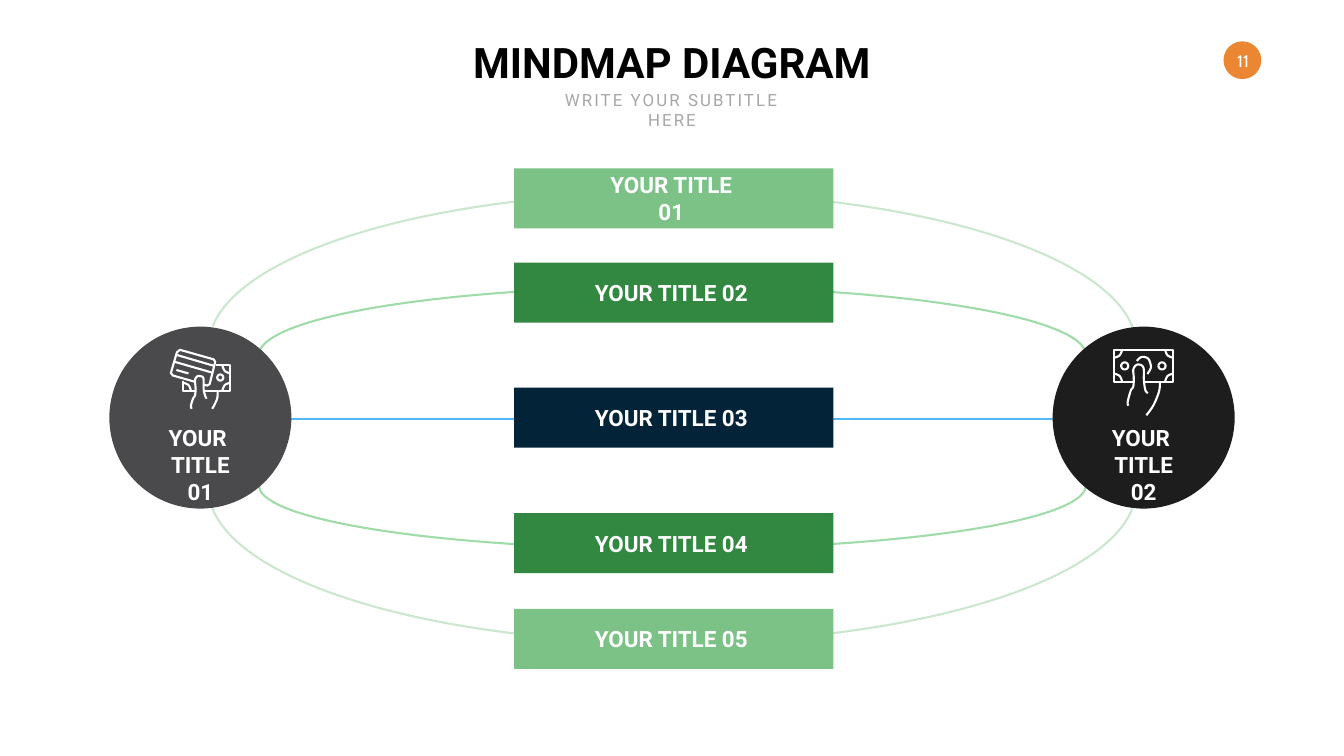
from math import cos, pi, sin

from lxml.etree import SubElement
from pptx import Presentation
from pptx.dml.color import RGBColor
from pptx.enum.shapes import MSO_CONNECTOR, MSO_SHAPE
from pptx.enum.text import MSO_ANCHOR, PP_ALIGN
from pptx.oxml.ns import qn
from pptx.util import Pt

WHITE = "FFFFFF"
UNIT = 0.72


def color(code):
    """Turn a hex string into a colour."""
    return RGBColor.from_string(code)


def place(box):
    """Turn a box in points into lengths."""
    return [Pt(value) for value in box]


def write(frame, lines, size, code, bold=True, font="Roboto", anchor=MSO_ANCHOR.TOP):
    """Fill a text frame with centred lines and return its runs."""
    frame.word_wrap = True
    frame.vertical_anchor = anchor
    runs = []
    for index, line in enumerate(lines):
        para = frame.add_paragraph() if index else frame.paragraphs[0]
        para.alignment = PP_ALIGN.CENTER
        run = para.add_run()
        run.text = line
        run.font.size, run.font.bold, run.font.name = Pt(size), bold, font
        run.font.color.rgb = color(code)
        runs.append(run)
    return runs


def solid(slide, kind, box, code):
    """Add a filled shape without outline."""
    shape = slide.shapes.add_shape(kind, *place(box))
    shape.shadow.inherit = False
    shape.fill.solid()
    shape.fill.fore_color.rgb = color(code)
    shape.line.fill.background()
    return shape


def curve(slide, box, start, end, code, turn=0):
    """Add an open arc between two angles in degrees."""
    arc = slide.shapes.add_shape(MSO_SHAPE.ARC, *place(box))
    arc.shadow.inherit = False
    arc.adjustments[0], arc.adjustments[1] = start * 0.6, end * 0.6
    arc.rotation = turn
    arc.fill.background()
    arc.line.color.rgb, arc.line.width = color(code), Pt(3)


def header(slide, box):
    """Place the title with its subtitle below."""
    left, top, width, height = box
    title = slide.shapes.title
    title.left, title.top, title.width, title.height = place((left, top, width, 80))
    write(title.text_frame, ["MINDMAP DIAGRAM"], 60, "000000")
    sub = slide.shapes.add_textbox(*place((left + 120, top + 76, width - 240, height - 76)))
    run, = write(sub.text_frame, ["WRITE YOUR SUBTITLE HERE"], 24, "A6A6A6", False)
    run.font._element.set("spc", "300")


def badge(slide, box):
    """Place the page number in its disc."""
    disc = solid(slide, MSO_SHAPE.OVAL, box, "EB8632")
    frame = disc.text_frame
    frame.margin_right = frame.margin_bottom = 0
    frame.margin_left, frame.margin_top = Pt(2), Pt(3)
    write(frame, ["11"], 24, WHITE, False, "Cabin", MSO_ANCHOR.MIDDLE)


def links(slide, box):
    """Draw the arcs and the line that join the two hubs."""
    left, top, width, height = box
    mid = left + width / 2
    outer, inner = 439.9, 1180.8
    for wide, start, end, code, spans in (
        (inner, 180, 0, "A0DCAA", ((409.7, 194.4), (603.4, 180.7))),
        (width, 182.5, 357.75, "CBE7CF", ((top, outer), (top + height - outer, outer))),
    ):
        for turn, (level, high) in zip((0, 180), spans):
            curve(slide, (mid - wide / 2, level, wide, high), start, end, code, turn)
    level = 599
    line = slide.shapes.add_connector(
        MSO_CONNECTOR.STRAIGHT, *place((mid - 550, level, mid + 550, level)))
    line.line.color.rgb, line.line.width = color("50B7F9"), Pt(3)
    SubElement(line._element.spPr, qn("a:effectLst"))


def bars(slide, box):
    """Stack the five titled bars."""
    left, top, width, height = box
    light, dark, navy = "7CC287", "328840", "022338"
    steps = (0, 134.6, 313.2, 492.5, 629.3)
    for index, (step, code) in enumerate(zip(steps, (light, dark, navy, dark, light)), 1):
        bar = solid(slide, MSO_SHAPE.RECTANGLE, (left, top + step, width, height), code)
        frame = bar.text_frame
        side = 120 if index == 1 else 95
        frame.margin_left, frame.margin_right = Pt(side), Pt(side + 7)
        frame.margin_top = frame.margin_bottom = 0
        write(frame, [f"YOUR TITLE {index:02}"], 32, WHITE, anchor=MSO_ANCHOR.MIDDLE)


def smooth(points, steps=6):
    """Round a path with a spline through its points."""
    ends = [points[0], *points, points[-1]]
    path = [points[0]]
    for a, b, c, d in zip(ends, ends[1:], ends[2:], ends[3:]):
        for step in range(1, steps + 1):
            t = step / steps
            path.append(tuple(
                (2 * q + (r - p) * t + (2 * p - 5 * q + 4 * r - s) * t ** 2
                 + (3 * q - p - 3 * r + s) * t ** 3) / 2
                for p, q, r, s in zip(a, b, c, d)))
    return path


def ring(x, y, size):
    """Return the points of a circle."""
    return [(x + size * cos(n * pi / 12), y + size * sin(n * pi / 12)) for n in range(25)]


def corner(x, y, right, down):
    """Return the rounded corner mark of a banknote."""
    return smooth([(x, y + 16 * down), (x + 11 * right, y + 11 * down), (x + 16 * right, y)])


def icon(slide, left, top, paths):
    """Draw the strokes of an icon as one outline."""
    scaled = [[(Pt(x * UNIT), Pt(y * UNIT)) for x, y in path] for path in paths]
    pen = slide.shapes.build_freeform(*scaled[0][0])
    for index, path in enumerate(scaled):
        if index:
            pen.move_to(*path[0])
        pen.add_line_segments(path[1:], close=False)
    shape = pen.convert_to_shape(Pt(left), Pt(top))
    shape.shadow.inherit = False
    shape.fill.background()
    shape.line.color.rgb, shape.line.width = color(WHITE), Pt(3)


def card():
    """Return the strokes of a hand with card and banknote."""
    return [
        [(48, 65), (6, 53), (2, 48), (14, 7), (20, 2), (87, 21), (90, 26),
         (79, 70), (74, 73), (68, 71)],
        [(10, 26), (83, 47)], [(13, 12), (88, 34)], [(13, 42), (37, 49)],
        [(26, 63), (26, 83), (50, 83)], [(67, 83), (120, 83), (120, 33), (91, 33)],
        corner(26, 83, 1, -1), corner(120, 83, -1, -1), corner(120, 33, -1, 1),
        ring(100, 57, 6),
        smooth([(43, 119), (42, 112), (46, 99), (50, 92), (51, 78), (50, 62), (54, 55),
                (59, 54), (65, 56), (67, 62), (67, 80), (70, 93), (73, 99)]),
        smooth([(95, 83), (94, 98), (89, 110), (84, 119)]),
    ]


def note():
    """Return the strokes of a hand with a banknote."""
    return [
        [(40, 65), (2, 65), (2, 2), (119, 2), (119, 65), (62, 65)],
        *(corner(x, y, right, down) for x, right in ((2, 1), (119, -1))
          for y, down in ((2, 1), (65, -1))),
        ring(23, 34, 7), ring(97, 34, 7),
        smooth([(47, 24), (53, 18), (60, 16), (70, 20), (75, 34), (73, 42), (68, 50)]),
        smooth([(30, 113), (29, 105), (35, 83), (40, 75), (41, 58), (40, 42), (44, 34),
                (50, 31), (58, 34), (61, 42), (61, 62), (64, 82), (69, 88)]),
        smooth([(93, 67), (91, 85), (80, 112), (66, 132)]),
    ]


def hub(slide, box, code, label, paths):
    """Place a disc with its icon and label."""
    left, top, width, height = box
    solid(slide, MSO_SHAPE.OVAL, box, code)
    icon(slide, left + 86.4, top + 31.7, paths)
    text = slide.shapes.add_textbox(*place((left + width / 2 - 67.7, top + 135.4, 135.4, 125)))
    write(text.text_frame, ["YOUR ", label], 32, WHITE)


def main():
    """Build the slide."""
    deck = Presentation()
    deck.slide_width, deck.slide_height = Pt(1919.52), Pt(1080)
    slide = deck.slides.add_slide(deck.slide_layouts[5])
    header(slide, (649, 48.2, 621.4, 145))
    badge(slide, (1747.4, 59, 54, 54))
    links(slide, (298, 275, 1324.8, 643))
    hub(slide, (156.2, 466.6, 260, 260), "4A4A4C", "TITLE 01", card())
    hub(slide, (1503.4, 466.6, 260, 260), "1D1D1D", "TITLE 02", note())
    bars(slide, (734.4, 240.5, 455.8, 85.7))
    deck.save("out.pptx")


if __name__ == "__main__":
    main()
